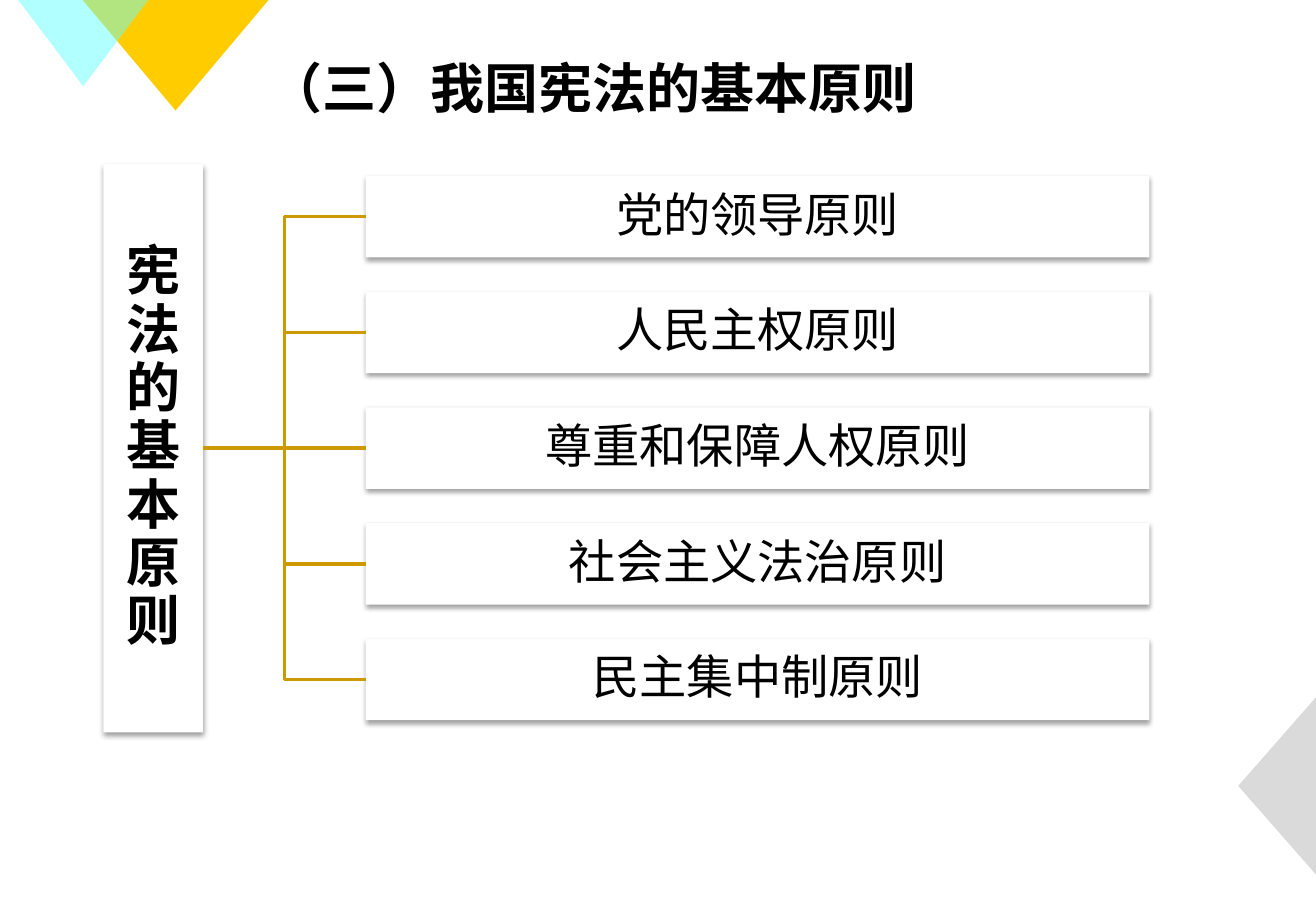
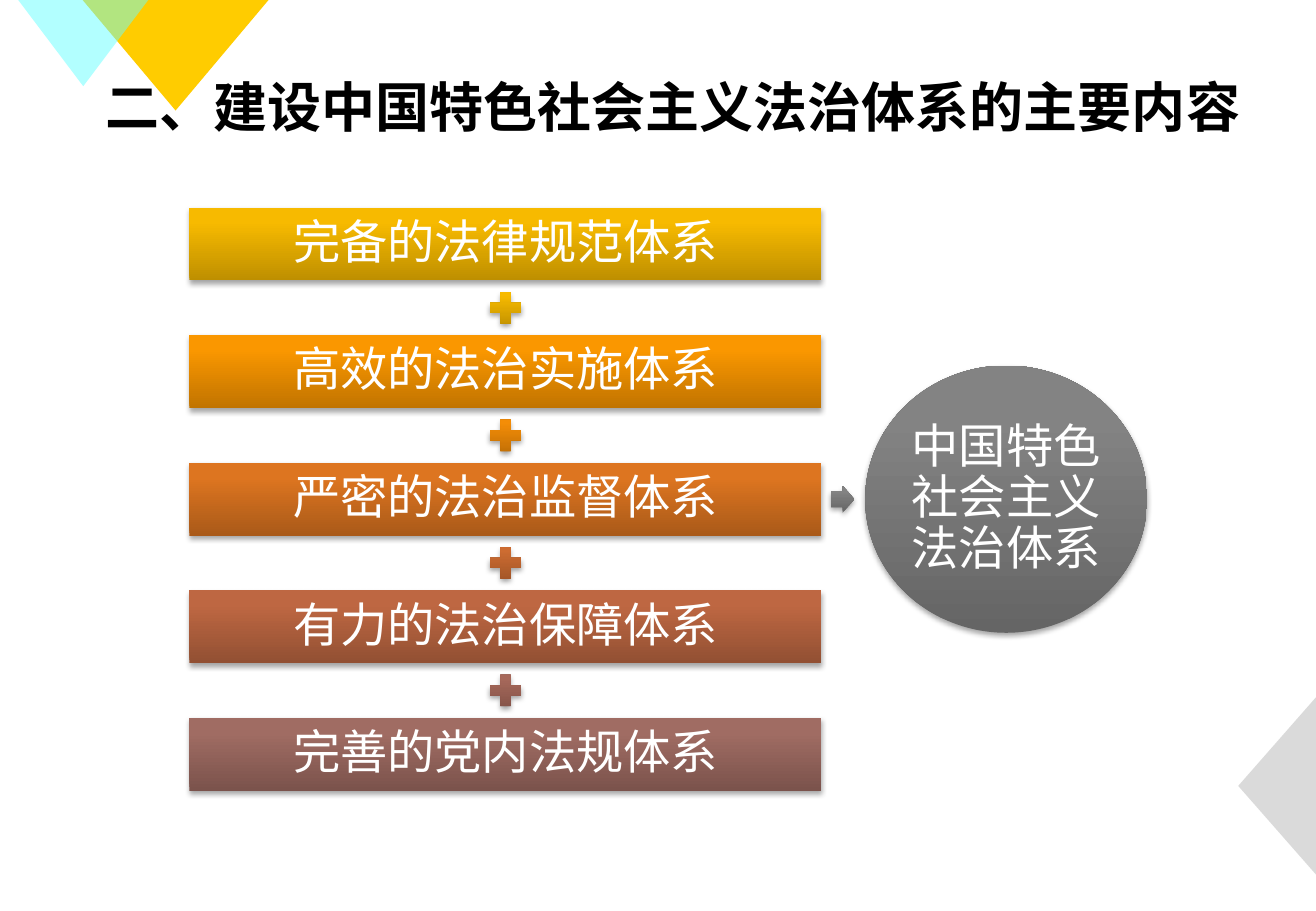
from lxml.etree import SubElement
from pptx import Presentation
from pptx.dml.color import RGBColor
from pptx.enum.shapes import MSO_CONNECTOR, MSO_SHAPE
from pptx.enum.text import MSO_ANCHOR, PP_ALIGN
from pptx.oxml.ns import qn
from pptx.util import Inches, Pt

FONT = "Noto Sans CJK SC"
BLACK = RGBColor(0x00, 0x00, 0x00)
WHITE = RGBColor(0xFF, 0xFF, 0xFF)
YELLOW = RGBColor(0xFF, 0xCC, 0x00)
CYAN = RGBColor(0x66, 0xFF, 0xFF)
GREY = RGBColor(0xB7, 0xB7, 0xB7)
GOLD = RGBColor(0xCC, 0x9A, 0x00)
RESULT_GREYS = (RGBColor(0x65, 0x65, 0x65), RGBColor(0x83, 0x83, 0x83))
BAR_COLORS = [
    (RGBColor(0xBE, 0x8F, 0x00), RGBColor(0xF7, 0xBA, 0x00)),
    (RGBColor(0xC1, 0x74, 0x00), RGBColor(0xFA, 0x97, 0x00)),
    (RGBColor(0xAA, 0x5A, 0x19), RGBColor(0xDD, 0x75, 0x20)),
    (RGBColor(0x92, 0x50, 0x33), RGBColor(0xBE, 0x67, 0x42)),
    (RGBColor(0x7B, 0x53, 0x4C), RGBColor(0xA0, 0x6C, 0x63)),
]
PLUS_COLORS = [
    (RGBColor(0xBE, 0x8F, 0x00), RGBColor(0xF7, 0xBA, 0x00)),
    (RGBColor(0xBC, 0x6C, 0x05), RGBColor(0xF4, 0x8D, 0x07)),
    (RGBColor(0x9E, 0x53, 0x26), RGBColor(0xCD, 0x6C, 0x31)),
    (RGBColor(0x81, 0x51, 0x46), RGBColor(0xA7, 0x69, 0x5B)),
]
TITLE = {"size": Pt(32), "bold": True}
ROOT = {"size": Pt(32), "bold": True}
ITEM = {"size": Pt(28), "bold": False}
CARD_SHADOW = {"blur": 3.1, "dist": 1.6, "alpha": 38}
GLOSS_SHADOW = {"blur": 3.1, "dist": 1.8, "alpha": 35}

TRIANGLES = [
    ((0.68, 0, 1.53, 0.91), 180, YELLOW, 100),
    ((0.15, 0, 1.07, 0.71), 180, CYAN, 50),
    ((9.78, 6.15, 1.46, 0.64), 270, GREY, 50),
]
PRINCIPLES = ["党的领导原则", "人民主权原则", "尊重和保障人权原则",
              "社会主义法治原则", "民主集中制原则"]
SYSTEMS = ["完备的法律规范体系", "高效的法治实施体系", "严密的法治监督体系",
           "有力的法治保障体系", "完善的党内法规体系"]


def inches(box):
    return [Inches(v) for v in box]


def write(sp, text, fmt, color, align, inset=None, spacing=None):
    tf = sp.text_frame
    tf.word_wrap = True
    tf.vertical_anchor = MSO_ANCHOR.MIDDLE
    if inset is not None:
        for side in ("left", "right", "top", "bottom"):
            setattr(tf, f"margin_{side}", Inches(inset))
    p = tf.paragraphs[0]
    p.alignment = align
    p.line_spacing = spacing
    r = p.add_run()
    r.text = text
    for name, value in {"name": FONT, **fmt}.items():
        setattr(r.font, name, value)
    r.font.color.rgb = color
    SubElement(r.font._element, qn("a:ea"), typeface=FONT)


def add_shadow(sp, blur, dist, alpha):
    effects = sp._element.spPr.find(qn("a:effectLst"))
    outer = SubElement(effects, qn("a:outerShdw"), blurRad=str(Pt(blur)),
                       dist=str(Pt(dist)), dir="5400000", rotWithShape="0")
    tint = SubElement(outer, qn("a:srgbClr"), val=str(BLACK))
    SubElement(tint, qn("a:alpha"), val=str(alpha * 1000))


def add_block(s, kind, box, fill, shadow=None):
    sp = s.shapes.add_shape(kind, *inches(box))
    sp.line.fill.background()
    sp.shadow.inherit = False
    if isinstance(fill, RGBColor):
        sp.fill.solid()
        sp.fill.fore_color.rgb = fill
    else:
        sp.fill.gradient()
        sp.fill.gradient_angle = 90
        for stop, color, position in zip(sp.fill.gradient_stops, fill, (0, 0.8)):
            stop.color.rgb = color
            stop.position = position
    if shadow:
        add_shadow(sp, **shadow)
    return sp


def add_label(sp, text, fmt, color):
    write(sp, text, fmt, color, PP_ALIGN.CENTER, 0.02, 0.9)


def stack(box, count, height):
    x, y, w, h = box
    pitch = (h - height) / (count - 1)
    return [(x, y + i * pitch, w, height) for i in range(count)]


def add_page(prs, title, box):
    s = prs.slides.add_slide(prs.slide_layouts[6])
    for place, rotation, color, opacity in TRIANGLES:
        sp = add_block(s, MSO_SHAPE.ISOSCELES_TRIANGLE, place, color)
        sp.rotation = rotation
        if opacity < 100:
            tint = sp._element.spPr.find(qn("a:solidFill"))[0]
            SubElement(tint, qn("a:alpha"), val=str(opacity * 1000))
    write(s.shapes.add_textbox(*inches(box)), title, TITLE, BLACK, PP_ALIGN.JUSTIFY)
    return s


def add_branch(s, root, leaf, kind):
    line = s.shapes.add_connector(kind, 0, 0, 0, 0)
    line.begin_connect(root, 3)
    line.end_connect(leaf, 1)
    line.line.color.rgb = GOLD
    line.line.width = Pt(2)
    SubElement(line._element.spPr, qn("a:effectLst"))


def add_tree(s, box, root_text, leaf_texts):
    x, y, w, h = box
    root = add_block(s, MSO_SHAPE.RECTANGLE, (x, y, 0.82, h), WHITE, CARD_SHADOW)
    add_label(root, root_text, ROOT, BLACK)
    leaf_area = (x + 2.16, y + 0.1, w - 2.16, h - 0.2)
    middle = len(leaf_texts) // 2
    for i, place in enumerate(stack(leaf_area, len(leaf_texts), 0.67)):
        leaf = add_block(s, MSO_SHAPE.RECTANGLE, place, WHITE, CARD_SHADOW)
        add_label(leaf, leaf_texts[i], ITEM, BLACK)
        kind = MSO_CONNECTOR.STRAIGHT if i == middle else MSO_CONNECTOR.ELBOW
        add_branch(s, root, leaf, kind)


def add_equation(s, box, parts, result):
    x, y, w, h = box
    bar_w, bar_h, plus = 5.2, 0.6, 0.35
    bars = stack((x, y, bar_w, h), len(parts), bar_h)
    gap = bars[1][1] - y - bar_h
    for text, place, colors in zip(parts, bars, BAR_COLORS):
        bar = add_block(s, MSO_SHAPE.RECTANGLE, place, colors, GLOSS_SHADOW)
        add_label(bar, text, ITEM, WHITE)
    for place, colors in zip(bars, PLUS_COLORS):
        top = place[1] + bar_h + (gap - plus) / 2
        add_block(s, MSO_SHAPE.MATH_PLUS, (x + (bar_w - plus) / 2, top, plus, plus),
                  colors, GLOSS_SHADOW)
    mid = y + h / 2
    arrow = add_block(s, MSO_SHAPE.RIGHT_ARROW, (x + 5.28, mid - 0.11, 0.19, 0.22),
                      RESULT_GREYS, GLOSS_SHADOW)
    arrow.adjustments[0] = 0.6
    circle = add_block(s, MSO_SHAPE.OVAL, (x + w - 2.32, mid - 1.1, 2.32, 2.2),
                       RESULT_GREYS, GLOSS_SHADOW)
    add_label(circle, result, ITEM, WHITE)


def main():
    prs = Presentation()
    prs.slide_width, prs.slide_height = Inches(10.83), Inches(7.5)
    s = add_page(prs, "（三）我国宪法的基本原则", (2.11, 0.36, 7.79, 0.71))
    add_tree(s, (0.85, 1.35, 8.61, 4.68), "宪法的基本原则", PRINCIPLES)
    s = add_page(prs, "二、建设中国特色社会主义法治体系的主要内容", (0.77, 0.52, 9.6, 0.71))
    add_equation(s, (1.56, 1.71, 7.88, 4.8), SYSTEMS, "中国特色社会主义法治体系")
    prs.save("out.pptx")


if __name__ == "__main__":
    main()
